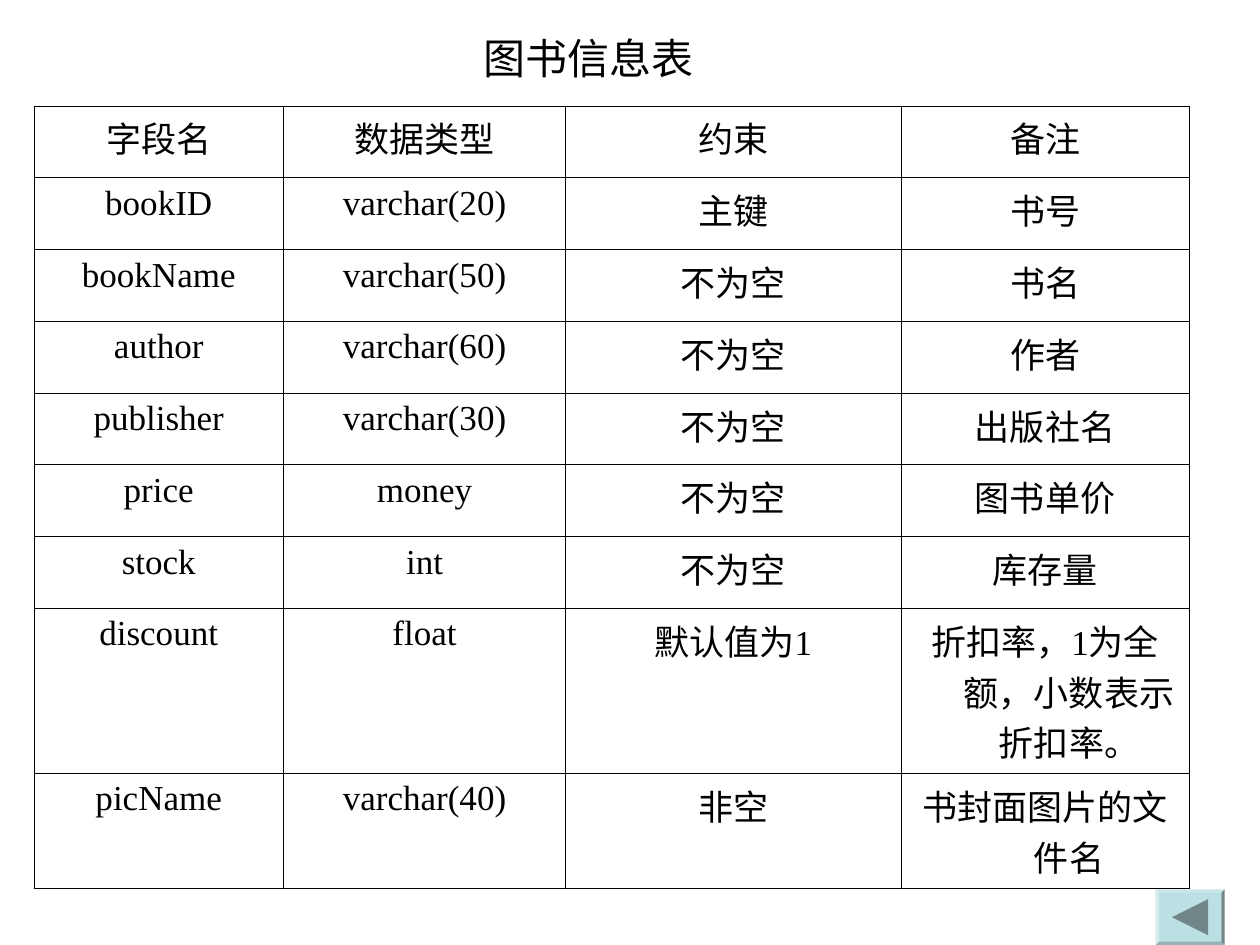
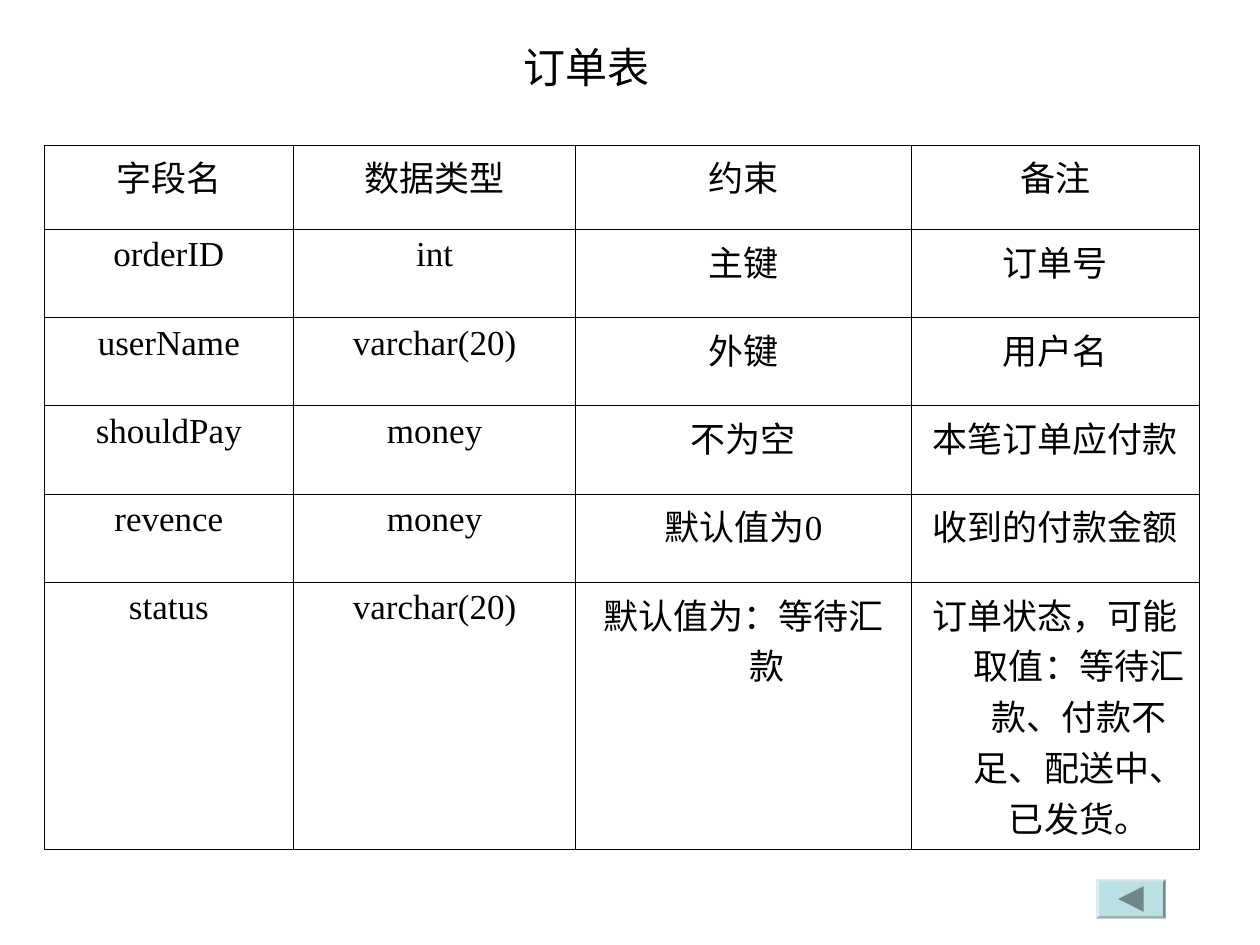
from pptx import Presentation
from pptx.dml.color import RGBColor
from pptx.enum.shapes import MSO_SHAPE as SHAPE
from pptx.enum.text import MSO_AUTO_SIZE as AUTO, PP_ALIGN as ALIGN
from pptx.oxml.ns import qn
from pptx.util import Inches, Pt
from lxml.etree import SubElement

BLACK, WHITE, BUTTON, ARROW = "000000", "FFFFFF", "BBE0E3", "708688"
COLS = [1.98, 2.24, 2.66, 2.29]
HEADER = ["字段名", "数据类型", "约束", "备注"]

BOOK_FIELDS = [
    ["bookID", "varchar(20)", "主键", "书号"],
    ["bookName", "varchar(50)", "不为空", "书名"],
    ["author", "varchar(60)", "不为空", "作者"],
    ["publisher", "varchar(30)", "不为空", "出版社名"],
    ["price", "money", "不为空", "图书单价"],
    ["stock", "int", "不为空", "库存量"],
    ["discount", "float", "默认值为1", "折扣率，1为全额，小数表示折扣率。"],
    ["picName", "varchar(40)", "非空", "书封面图片的文件名"],
]
ORDER_FIELDS = [
    ["orderID", "int", "主键", "订单号"],
    ["userName", "varchar(20)", "外键", "用户名"],
    ["shouldPay", "money", "不为空", "本笔订单应付款"],
    ["revence", "money", "默认值为0", "收到的付款金额"],
    ["status", "varchar(20)", "默认值为：等待汇款",
     "订单状态，可能取值：等待汇款、付款不足、配送中、已发货。"],
]


def rgb(color):
    return RGBColor.from_string(color)


class Deck:
    """Holds the shared style and the current slide."""

    def __init__(self):
        self.prs = Presentation()
        self.prs.slide_width, self.prs.slide_height = Inches(10), Inches(7.5)

    def slide(self):
        self.s = self.prs.slides.add_slide(self.prs.slide_layouts[6])

    def style(self, p, font, size):
        p.font.name, p.font.size = font, Pt(size)
        p.font.color.rgb = rgb(BLACK)

    def paint(self, sp, color):
        sp.shadow.inherit = False
        sp.fill.solid()
        sp.fill.fore_color.rgb = rgb(color)
        sp.line.fill.background()

    def title(self, text, x, y, w):
        tf = self.s.shapes.add_textbox(Inches(x), Inches(y), Inches(w), Inches(0.5)).text_frame
        tf.word_wrap, tf.auto_size = True, AUTO.SHAPE_TO_FIT_TEXT
        tf.text = text
        self.style(tf.paragraphs[0], "Arial", 24)

    def cell(self, cell, text):
        cell.text = text
        p = cell.text_frame.paragraphs[0]
        p.alignment = ALIGN.CENTER
        pPr = p._p.get_or_add_pPr()
        pPr.set("marL", str(Inches(0.38)))
        pPr.set("indent", str(-Inches(0.38)))
        pPr.set("hangingPunct", "0")
        self.style(p, "Times New Roman", 20)
        tcPr = cell._tc.get_or_add_tcPr()
        for side in ("a:lnL", "a:lnR", "a:lnT", "a:lnB"):
            ln = SubElement(tcPr, qn(side), w=str(Pt(0.45)))
            SubElement(SubElement(ln, qn("a:solidFill")), qn("a:srgbClr"), val=BLACK)
        cell.fill.solid()
        cell.fill.fore_color.rgb = rgb(WHITE)

    def table(self, fields, x, y, heights):
        rows = [HEADER] + fields
        tbl = self.s.shapes.add_table(len(rows), len(COLS), Inches(x), Inches(y),
                                      Inches(sum(COLS)), Inches(sum(heights))).table
        tbl.first_row = tbl.horz_banding = False
        for col, w in zip(tbl.columns, COLS):
            col.width = Inches(w)
        for row, h, texts in zip(tbl.rows, heights, rows):
            row.height = Inches(h)
            for cell, text in zip(row.cells, texts):
                self.cell(cell, text)

    def back_button(self, x, y, h):
        w, reach = 0.55, h * 0.325
        sp = self.s.shapes.add_shape(SHAPE.BEVEL, Inches(x), Inches(y), Inches(w), Inches(h))
        sp.adjustments[0] = 0.06
        self.paint(sp, BUTTON)
        cx, cy = x + w / 2, y + h / 2
        fb = self.s.shapes.build_freeform(Inches(cx - reach), Inches(cy))
        fb.add_line_segments([(Inches(cx + reach), Inches(cy - reach)),
                              (Inches(cx + reach), Inches(cy + reach))])
        self.paint(fb.convert_to_shape(), ARROW)


def main():
    deck = Deck()

    deck.slide()
    deck.table(BOOK_FIELDS, 0.27, 0.84, [0.57] * 7 + [1.31, 0.91])
    deck.back_button(9.17, 7.06, 0.44)
    deck.title("图书信息表", 3.74, 0.21, 3.15)

    deck.slide()
    deck.table(ORDER_FIELDS, 0.35, 1.15, [0.67] + [0.7] * 4 + [2.12])
    deck.back_button(8.7, 6.98, 0.31)
    deck.title("订单表", 4.06, 0.28, 3.94)

    deck.prs.save("out.pptx")


if __name__ == "__main__":
    main()
